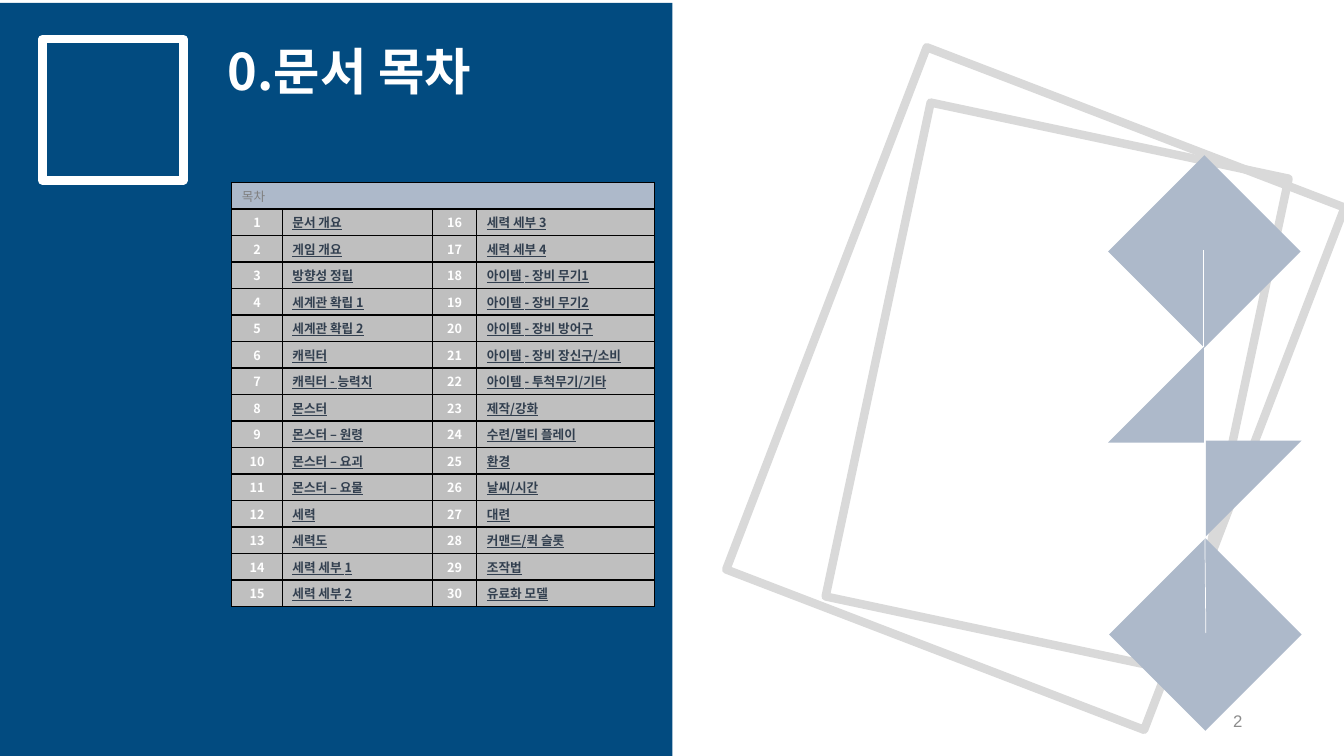
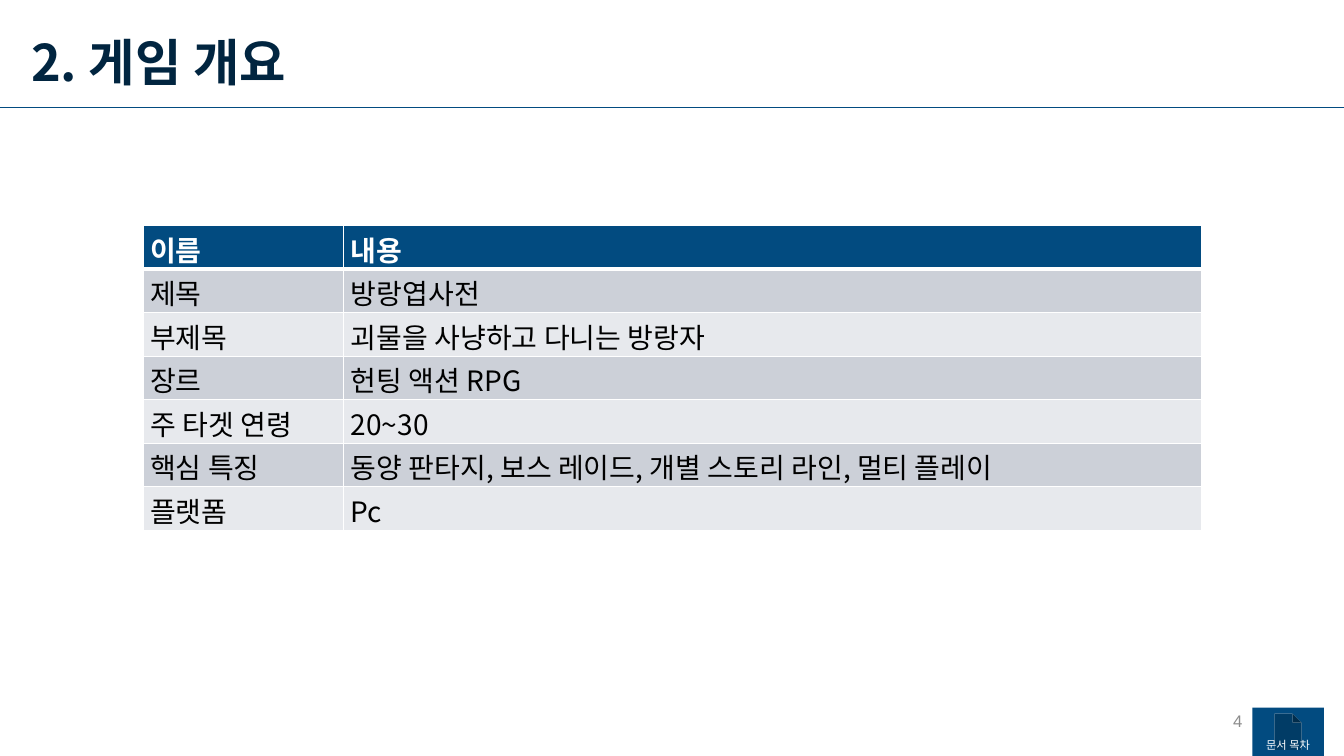
import pptx
import pptx.dml.color
import pptx.enum.shapes
import pptx.enum.text
import pptx.oxml.ns
import pptx.util
from lxml import etree

Inches = pptx.util.Inches
Pt = pptx.util.Pt
SHAPE = pptx.enum.shapes.MSO_SHAPE
ALIGN = pptx.enum.text.PP_ALIGN
ANCHOR = pptx.enum.text.MSO_ANCHOR
qn = pptx.oxml.ns.qn

COLORS = {
    "blue": "024B80", "navy": "012540", "white": "FFFFFF", "black": "000000",
    "pale": "ADB9CA", "frame": "D9D9D9", "cell": "BFBFBF", "slate": "323F4F",
    "grey": "808080", "number": "8C8C8C", "band_dark": "CCD0D8", "band_light": "E7E9ED",
}
KOREAN = "Noto Sans CJK KR"

CONTENTS = [
    "문서 개요", "게임 개요", "방향성 정립", "세계관 확립 1", "세계관 확립 2",
    "캐릭터", "캐릭터 - 능력치", "몬스터", "몬스터 – 원령", "몬스터 – 요괴",
    "몬스터 – 요물", "세력", "세력도", "세력 세부 1", "세력 세부 2",
    "세력 세부 3", "세력 세부 4", "아이템 - 장비 무기1", "아이템 - 장비 무기2",
    "아이템 - 장비 방어구", "아이템 - 장비 장신구/소비", "아이템 - 투척무기/기타",
    "제작/강화", "수련/멀티 플레이", "환경", "날씨/시간", "대련", "커맨드/퀵 슬롯",
    "조작법", "유료화 모델",
]
OVERVIEW = [
    ("이름", "내용"),
    ("제목", "방랑엽사전"),
    ("부제목", "괴물을 사냥하고 다니는 방랑자"),
    ("장르", "헌팅 액션 RPG"),
    ("주 타겟 연령", "20~30"),
    ("핵심 특징", "동양 판타지, 보스 레이드, 개별 스토리 라인, 멀티 플레이"),
    ("플랫폼", "Pc"),
]

# left, top, width, height, rotation
FRAMES = [(8.67, 1.34, 3.63, 5.01, 12), (8.05, 1.08, 4.44, 5.55, 21)]
ORNAMENTS = [
    (SHAPE.DIAMOND, 10.99, 1.54, 1.91, 1.91, 0),
    (SHAPE.RIGHT_TRIANGLE, 10.99, 3.44, 0.95, 0.95, 270),
    (SHAPE.RIGHT_TRIANGLE, 11.96, 4.37, 0.95, 0.95, 90),
    (SHAPE.DIAMOND, 11, 5.34, 1.91, 1.91, 0),
]
ORNAMENT_LINES = [(11.94, 2.48, 11.94, 3.44), (11.95, 5.32, 11.96, 6.28)]


def rgb(name):
    return pptx.dml.color.RGBColor.from_string(COLORS[name])


def set_text(frame, text, size, color, font=KOREAN, bold=False, underline=False,
             align=ALIGN.LEFT, spacing=1.0):
    paragraph = frame.paragraphs[0]
    paragraph.text = text
    paragraph.alignment = align
    paragraph.line_spacing = spacing
    paragraph.font.size = Pt(size)
    paragraph.font.bold = bold
    paragraph.font.underline = underline
    paragraph.font.color.rgb = rgb(color)
    paragraph.font.name = font
    # East Asian glyphs take their font from a separate element
    latin = paragraph._p.pPr.find(qn("a:defRPr")).find(qn("a:latin"))
    east_asian = etree.Element(qn("a:ea"), typeface=KOREAN)
    latin.addnext(east_asian)


def add_shape(slide, kind, left, top, width, height, rotation=0, fill=None, line=None):
    shape = slide.shapes.add_shape(kind, Inches(left), Inches(top), Inches(width), Inches(height))
    shape.shadow.inherit = False
    shape.rotation = rotation
    if fill:
        shape.fill.solid()
        shape.fill.fore_color.rgb = rgb(fill)
    else:
        shape.fill.background()
    if line:
        shape.line.color.rgb = rgb(line)
        shape.line.width = Pt(6)
    else:
        shape.line.fill.background()
    return shape


def add_line(slide, x1, y1, x2, y2, color):
    connector = slide.shapes.add_connector(
        pptx.enum.shapes.MSO_CONNECTOR.STRAIGHT,
        Inches(x1), Inches(y1), Inches(x2), Inches(y2))
    connector.line.color.rgb = rgb(color)
    connector.line.width = Pt(0.5)
    etree.SubElement(connector._element.spPr, qn("a:effectLst"))


def add_title(slide, text, left, top, width, color):
    title = slide.shapes.title
    title.left, title.top = Inches(left), Inches(top)
    title.width, title.height = Inches(width), Inches(0.71)
    frame = title.text_frame
    frame.word_wrap = True
    frame.auto_size = pptx.enum.text.MSO_AUTO_SIZE.NONE
    frame.vertical_anchor = ANCHOR.TOP
    set_text(frame, text, 36, color, bold=True, spacing=0.9)
    # Bring the title in front of the panels drawn so far
    title.element.getparent().append(title.element)


def add_page_number(slide, number):
    box = slide.shapes.add_textbox(Inches(9.42), Inches(6.95), Inches(3), Inches(0.4))
    box.text_frame.word_wrap = True
    box.text_frame.vertical_anchor = ANCHOR.MIDDLE
    set_text(box.text_frame, str(number), 12, "number", font="Arial", align=ALIGN.RIGHT)


def add_table(slide, left, top, widths, row_height, row_count):
    table = slide.shapes.add_table(
        row_count, len(widths), Inches(left), Inches(top),
        Inches(sum(widths)), Inches(row_height * row_count)).table
    table.first_row = table.horz_banding = False
    for column, width in zip(table.columns, widths):
        column.width = Inches(width)
    for row in table.rows:
        row.height = Inches(row_height)
    return table


def style_cell(cell, fill, border, margins, anchor, top=1, bottom=1):
    """Set borders, fill, margins (side, vertical) and anchor of a cell."""
    properties = cell._tc.get_or_add_tcPr()
    for side, width in (("L", 1), ("R", 1), ("T", top), ("B", bottom)):
        line = etree.SubElement(properties, qn(f"a:ln{side}"), w=str(Pt(width)))
        solid = etree.SubElement(line, qn("a:solidFill"))
        etree.SubElement(solid, qn("a:srgbClr"), val=COLORS[border])
    cell.fill.solid()
    cell.fill.fore_color.rgb = rgb(fill)
    cell.margin_left = cell.margin_right = Inches(margins[0])
    cell.margin_top = cell.margin_bottom = Inches(margins[1])
    cell.vertical_anchor = anchor


def add_contents_table(slide):
    half = len(CONTENTS) // 2
    table = add_table(slide, 2.3, 1.81, (0.5, 1.49, 0.44, 1.76), 4.21 / (half + 1), half + 1)
    margins = (0.1, 0.04)
    for cell in table.rows[0].cells:
        style_cell(cell, "pale", "black", margins, ANCHOR.TOP)
    table.cell(0, 0).merge(table.cell(0, 3))
    set_text(table.cell(0, 0).text_frame, "목차", 9, "grey")
    for index, entry in enumerate(CONTENTS):
        block, row = divmod(index, half)
        number = table.cell(row + 1, block * 2)
        style_cell(number, "cell", "black", margins, ANCHOR.MIDDLE)
        set_text(number.text_frame, str(index + 1), 9, "white", bold=True, align=ALIGN.CENTER)
        name = table.cell(row + 1, block * 2 + 1)
        style_cell(name, "cell", "black", margins, ANCHOR.TOP)
        set_text(name.text_frame, entry, 9, "slate", bold=True, underline=True)


def add_overview_table(slide):
    table = add_table(slide, 1.42, 2.24, (1.99, 8.51), 0.43, len(OVERVIEW))
    for row, values in enumerate(OVERVIEW):
        header = row == 0
        fill = "blue" if header else ("band_light", "band_dark")[row % 2]
        for column, value in enumerate(values):
            cell = table.cell(row, column)
            style_cell(cell, fill, "white", (0.07, 0),
                       ANCHOR.TOP if header else ANCHOR.MIDDLE,
                       top=3 if row == 1 else 1, bottom=3 if header else 1)
            set_text(cell.text_frame, value, 20, "white" if header else "black",
                     bold=header, align=ALIGN.JUSTIFY, spacing=1.07)


def build_contents(slide):
    for left, top, width, height, rotation in FRAMES:
        add_shape(slide, SHAPE.RECTANGLE, left, top, width, height, rotation, line="frame")
    add_shape(slide, SHAPE.RECTANGLE, 0, 0.03, 6.67, 7.5, fill="blue")
    add_shape(slide, SHAPE.RECTANGLE, 0.42, 0.39, 1.4, 1.4, line="white")
    add_title(slide, "0.문서 목차", 2.16, 0.42, 3.47, "white")
    for ornament in ORNAMENTS:
        add_shape(slide, *ornament, fill="pale")
    for ends in ORNAMENT_LINES:
        add_line(slide, *ends, "white")
    add_page_number(slide, 2)
    add_contents_table(slide)


def build_overview(slide):
    add_line(slide, 0, 1.07, 13.33, 1.07, "blue")
    add_title(slide, "2. 게임 개요", 0.21, 0.33, 4.12, "navy")
    add_overview_table(slide)
    add_page_number(slide, 4)
    button = add_shape(slide, SHAPE.ACTION_BUTTON_DOCUMENT, 12.42, 7.02, 0.71, 0.48, fill="blue")
    frame = button.text_frame
    frame.margin_left = frame.margin_right = frame.margin_top = 0
    frame.margin_bottom = Inches(0.04)
    frame.vertical_anchor = ANCHOR.BOTTOM
    set_text(frame, "문서 목차", 8, "white", font="Arial", align=ALIGN.CENTER)


def main():
    presentation = pptx.Presentation()
    presentation.slide_width = Inches(13.33)
    presentation.slide_height = Inches(7.5)
    title_only = presentation.slide_layouts[5]
    for build in (build_contents, build_overview):
        build(presentation.slides.add_slide(title_only))
    presentation.save("out.pptx")


if __name__ == "__main__":
    main()
